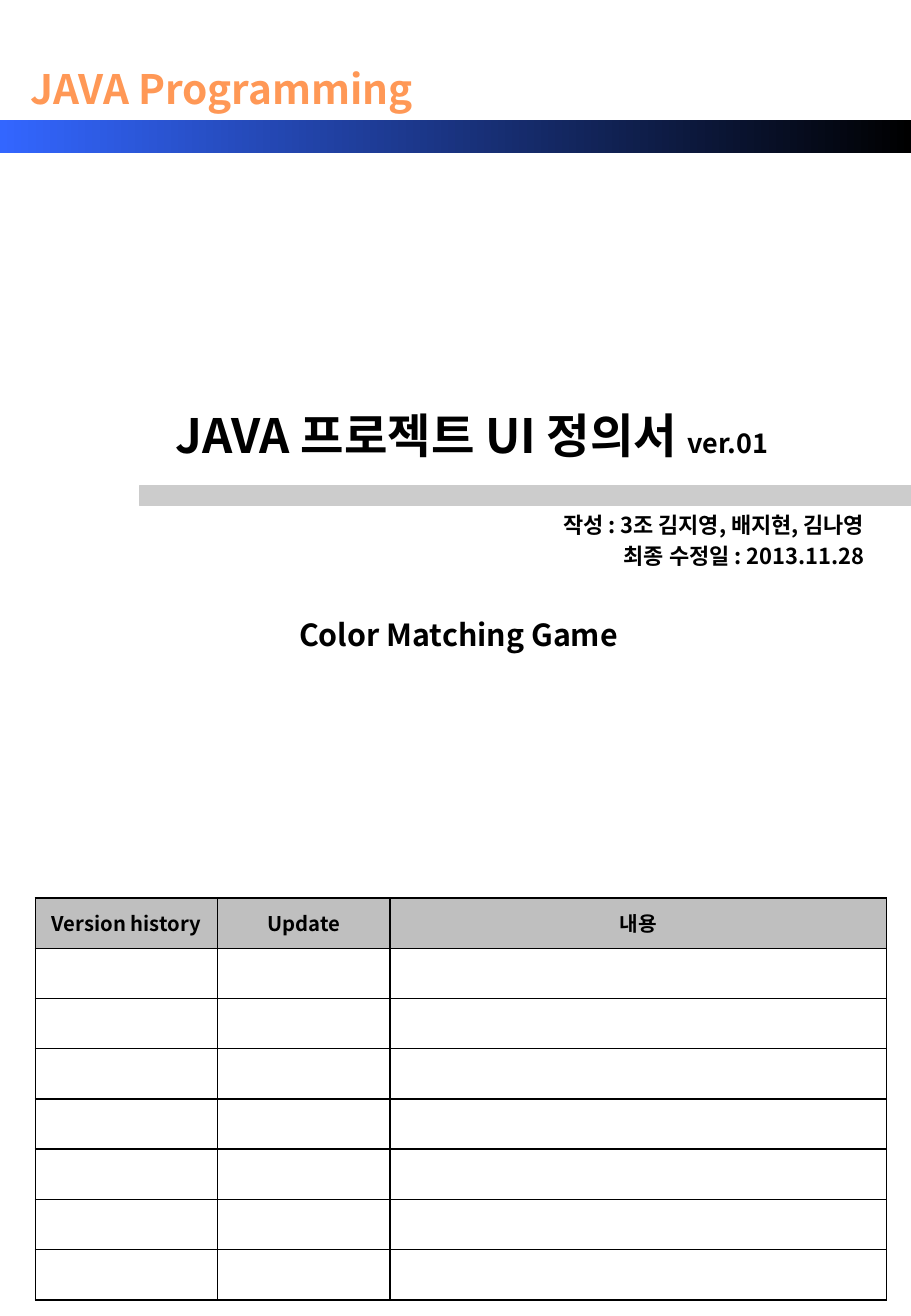
from lxml.etree import SubElement
from pptx import Presentation
from pptx.dml.color import RGBColor
from pptx.enum.shapes import MSO_SHAPE
from pptx.enum.text import MSO_ANCHOR, PP_ALIGN
from pptx.oxml.ns import qn
from pptx.util import Inches, Pt

FONT = "Noto Sans CJK KR"


def color(hex_string):
    return RGBColor.from_string(hex_string)


def format_paragraph(paragraph, size, alignment=PP_ALIGN.CENTER, text_color="000000"):
    paragraph.alignment = alignment
    paragraph.font.name = FONT
    paragraph.font.size = Pt(size)
    paragraph.font.bold = True
    paragraph.font.color.rgb = color(text_color)


presentation = Presentation()
presentation.slide_width = Inches(7.5)
presentation.slide_height = Inches(10.83)
slide = presentation.slides.add_slide(presentation.slide_layouts[5])

# Header and divider bars
header_bar = slide.shapes.add_shape(
    MSO_SHAPE.RECTANGLE, Inches(0), Inches(0.99), Inches(7.5), Inches(0.27))
header_bar.shadow.inherit = False
header_bar.line.fill.background()
header_bar.fill.gradient()
header_bar.fill.gradient_angle = 0
for stop, stop_color in zip(header_bar.fill.gradient_stops, ("3366FF", "000000")):
    stop.color.rgb = color(stop_color)

divider = slide.shapes.add_shape(
    MSO_SHAPE.RECTANGLE, Inches(1.15), Inches(4), Inches(6.35), Inches(0.16))
divider.shadow.inherit = False
divider.fill.solid()
divider.fill.fore_color.rgb = color("CCCCCC")
divider.line.color.rgb = color("CCCCCC")
divider.line.width = Pt(0.75)

# Title
title = slide.shapes.title
title.left, title.top = Inches(0.34), Inches(3.29)
title.width, title.height = Inches(7.09), Inches(1.26)
title.text_frame.vertical_anchor = MSO_ANCHOR.TOP
title_paragraph = title.text_frame.paragraphs[0]
format_paragraph(title_paragraph, 28)
title_paragraph.add_run().text = "JAVA 프로젝트 UI 정의서 "
version_run = title_paragraph.add_run()
version_run.text = "ver.01"
version_run.font.size = Pt(16)

# Course name, project name and authors
text_boxes = [
    (0.14, 0.48, 3.37, 0.5, 24, PP_ALIGN.CENTER, "FF9856", ["JAVA Programming"]),
    (1.15, 5.02, 5.25, 0.87, 18, PP_ALIGN.CENTER, "000000", ["Color Matching Game"]),
    (2.4, 4.16, 4.81, 0.63, 13, PP_ALIGN.RIGHT, "000000",
     ["작성 : 3조 김지영, 배지현, 김나영", "최종 수정일 : 2013.11.28"]),
]
for left, top, width, height, size, alignment, text_color, lines in text_boxes:
    text_box = slide.shapes.add_textbox(
        Inches(left), Inches(top), Inches(width), Inches(height))
    text_frame = text_box.text_frame
    text_frame.word_wrap = True
    text_frame.text = "\n".join(lines)
    for paragraph in text_frame.paragraphs:
        format_paragraph(paragraph, size, alignment, text_color)
    for paragraph in text_frame.paragraphs[1:]:
        paragraph.space_before = Pt(0.2 * size)

# Version history table
headings = ["Version history", "Update", "내용"]
row_count = 8
table = slide.shapes.add_table(
    row_count, len(headings), Inches(0.29), Inches(7.39), Inches(7.01), Inches(3.31)).table
for column, width in zip(table.columns, (1.5, 1.42, 4.09)):
    column.width = Inches(width)
for column_index, heading in enumerate(headings):
    table.cell(0, column_index).text = heading
for row_index in range(row_count):
    for column_index in range(len(headings)):
        cell = table.cell(row_index, column_index)
        cell.vertical_anchor = MSO_ANCHOR.MIDDLE
        format_paragraph(cell.text_frame.paragraphs[0], 12)
        cell_properties = cell._tc.get_or_add_tcPr()
        for side in ("a:lnL", "a:lnR", "a:lnT", "a:lnB"):
            border = SubElement(cell_properties, qn(side), w=str(Pt(1)))
            border_fill = SubElement(border, qn("a:solidFill"))
            SubElement(border_fill, qn("a:srgbClr"), val="000000")
        cell.fill.solid()
        cell.fill.fore_color.rgb = color("BFBFBF" if row_index == 0 else "FFFFFF")

presentation.save("out.pptx")
